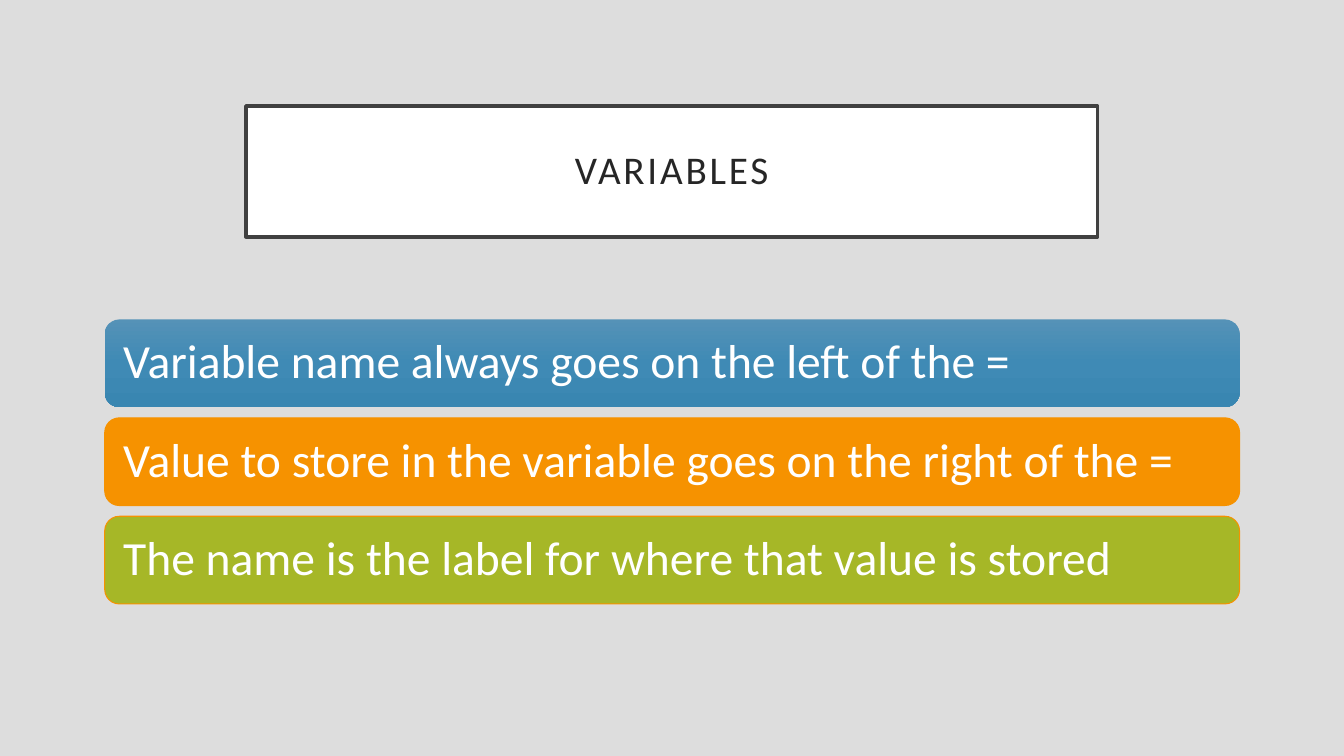
from copy import deepcopy

from pptx import Presentation
from pptx.dml.color import RGBColor
from pptx.enum.shapes import MSO_SHAPE as Shape
from pptx.enum.text import MSO_ANCHOR as Anchor, MSO_AUTO_SIZE as AutoSize, PP_ALIGN as Align
from pptx.oxml.ns import qn
from pptx.util import Cm, Pt

COLORS = {
    "background": "DDDDDD",
    "white": "FFFFFF",
    "title_text": "262626",
    "title_border": "404040",
    "blue_top": "5592B7",
    "blue_middle": "3F8AB5",
    "blue_bottom": "3986B1",
    "orange": "F69200",
    "green": "A6B727",
}
BLUE_GRADIENT = ("blue_top", "blue_middle", "blue_bottom")
RULES = [
    ("Variable name always goes on the left of the =", BLUE_GRADIENT, None),
    ("Value to store in the variable goes on the right of the =", "orange", "orange"),
    ("The name is the label for where that value is stored", "green", "orange"),
]
RULE_TOP, RULE_PITCH = 8.05, 2.48


def rgb(name):
    return RGBColor.from_string(COLORS[name])


def write_text(shape, text, *, size, color, align, inset, spacing=None):
    frame = shape.text_frame
    frame.word_wrap = True
    frame.auto_size = AutoSize.NONE
    frame.vertical_anchor = Anchor.MIDDLE
    frame.margin_left = frame.margin_right = Cm(inset)
    frame.margin_top = frame.margin_bottom = Cm(inset)
    paragraph = frame.paragraphs[0]
    paragraph.alignment = align
    paragraph.line_spacing = 0.9
    run = paragraph.add_run()
    run.text = text
    run.font.name = "Calibri"
    run.font.size = Pt(size)
    run.font.color.rgb = rgb(color)
    if spacing:
        run.font._element.set("spc", str(spacing * 100))


def fill_solid(fill, color):
    fill.solid()
    fill.fore_color.rgb = rgb(color)


def fill_gradient(shape, colors):
    """Fill from top to bottom with three evenly spaced colours."""
    fill = shape.fill
    fill.gradient()
    fill.gradient_angle = 270
    stop_list = shape._element.spPr.find(qn("a:gradFill")).find(qn("a:gsLst"))
    stop_list.insert(1, deepcopy(stop_list[0]))
    for index, (stop, color) in enumerate(zip(fill.gradient_stops, colors)):
        stop.position = index / 2
        stop.color.rgb = rgb(color)


def set_border(shape, color, width):
    if color is None:
        shape.line.fill.background()
        return
    shape.line.color.rgb = rgb(color)
    shape.line.width = Pt(width)


def format_title(title, text):
    title.left, title.top = Cm(6.2), Cm(2.67)
    title.width, title.height = Cm(21.46), Cm(3.3)
    fill_solid(title.fill, "white")
    set_border(title, "title_border", 2.5)
    write_text(title, text, size=28, color="title_text", align=Align.CENTER,
               inset=0.5, spacing=2)


def add_rule(slide, top, text, fill, border):
    bar = slide.shapes.add_shape(Shape.ROUNDED_RECTANGLE, Cm(2.64), Cm(top), Cm(28.6), Cm(2.21))
    bar.shadow.inherit = False
    if fill == BLUE_GRADIENT:
        fill_gradient(bar, fill)
    else:
        fill_solid(bar.fill, fill)
    set_border(bar, border, 0.75)
    write_text(bar, text, size=34, color="white", align=Align.LEFT, inset=0.36)


def main():
    deck = Presentation()
    deck.slide_width, deck.slide_height = Cm(33.87), Cm(19.05)
    slide = deck.slides.add_slide(deck.slide_layouts.get_by_name("Title Only"))
    fill_solid(slide.background.fill, "background")
    format_title(slide.shapes.title, "VARIABLES")
    for index, (text, fill, border) in enumerate(RULES):
        add_rule(slide, RULE_TOP + index * RULE_PITCH, text, fill, border)
    deck.save("out.pptx")


if __name__ == "__main__":
    main()
